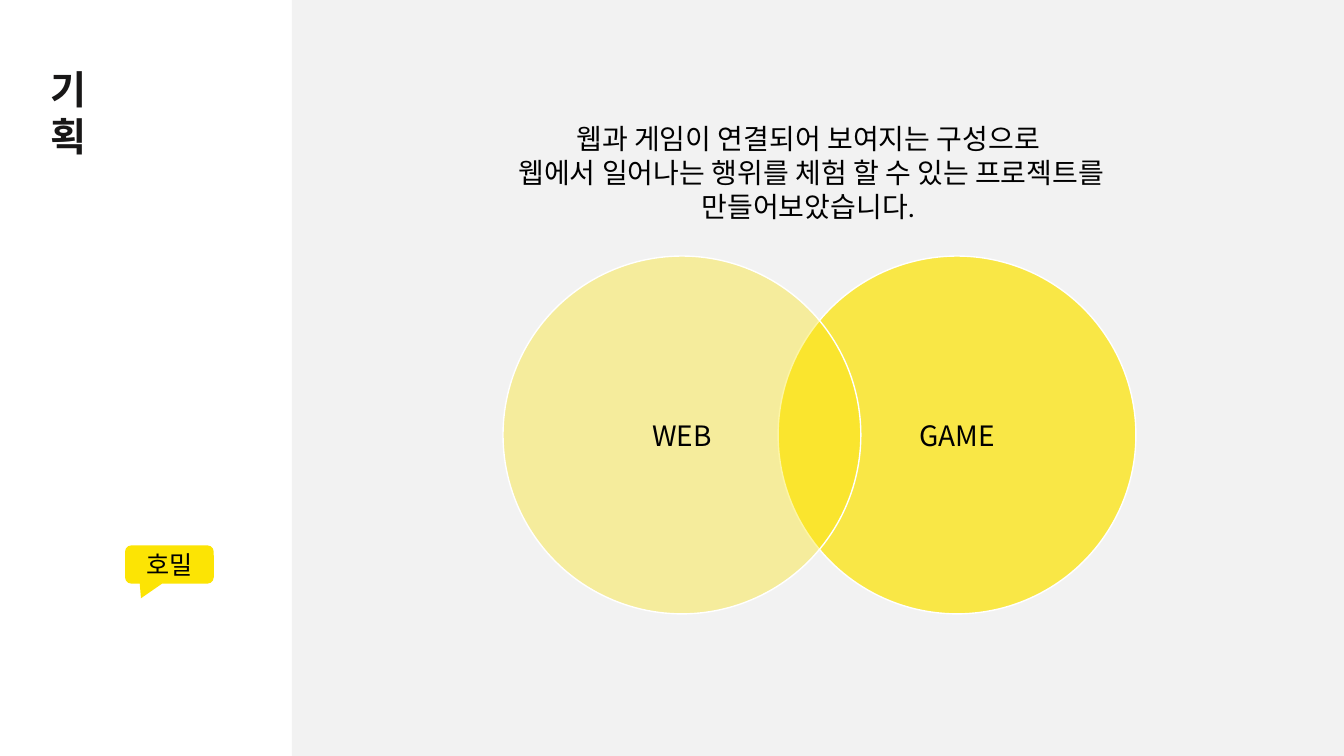
import pptx
import pptx.util
import pptx.dml.color
import pptx.enum.shapes
import pptx.enum.text
import pptx.oxml.ns
import lxml.etree

Pt = pptx.util.Pt
SHAPE = pptx.enum.shapes.MSO_SHAPE
ALIGN = pptx.enum.text.PP_ALIGN
ANCHOR = pptx.enum.text.MSO_ANCHOR
YELLOW = "FCE404"
KOREAN = "Noto Sans CJK KR"


def color(fmt, value):
    fmt.rgb = pptx.dml.color.RGBColor.from_string(value)


def write(s, text, size=20, font=KOREAN, ink="000000", bold=False,
          align=ALIGN.CENTER, anchor=ANCHOR.MIDDLE, wrap=True):
    tf = s.text_frame
    tf.word_wrap = wrap
    tf.vertical_anchor = anchor
    tf.text = text
    for p in tf.paragraphs:
        p.alignment = align
        for r in p.runs:
            r.font.size = Pt(size)
            r.font.name = font
            r.font.bold = bold
            color(r.font.color, ink)


prs = pptx.Presentation()
prs.slide_width, prs.slide_height = Pt(960), Pt(540)
slide = prs.slides.add_slide(prs.slide_layouts[6])
shapes = slide.shapes

# Grey content panel
panel = shapes.add_shape(SHAPE.RECTANGLE, Pt(208.5), 0, Pt(751.5), Pt(540))
panel.shadow.inherit = False
panel.fill.solid()
color(panel.fill.fore_color, "F2F2F2")
panel.line.fill.background()

# Title, one syllable per line
title = shapes.add_textbox(Pt(28.8), Pt(43.2), Pt(68.4), Pt(41))
write(title, "기\v획", size=28, font="Calibri", ink="181717", bold=True,
      align=ALIGN.LEFT, anchor=ANCHOR.TOP, wrap=False)

# Overlapping translucent circles
for label, left, opacity in (("GAME", 555.8, 72), ("WEB", 359.3, 36)):
    circle = shapes.add_shape(SHAPE.OVAL, Pt(left), Pt(182.9), Pt(255.6), Pt(255.6))
    circle.shadow.inherit = False
    circle.fill.solid()
    color(circle.fill.fore_color, YELLOW)
    fill = circle.fill._xPr.find(pptx.oxml.ns.qn("a:solidFill"))
    lxml.etree.SubElement(fill[0], pptx.oxml.ns.qn("a:alpha"), val=str(opacity * 1000))
    color(circle.line.color, "FFFFFF")
    circle.line.width = Pt(1)
    write(circle, label)

# Project summary
summary = shapes.add_textbox(Pt(306.7), Pt(83.5), Pt(545.8), Pt(80))
write(summary, "웹과 게임이 연결되어 보여지는 구성으로 \n"
      "웹에서 일어나는 행위를 체험 할 수 있는 프로젝트를\v만들어보았습니다. ",
      font="Calibri", anchor=ANCHOR.TOP, wrap=False)

# Speech bubble
bubble = shapes.add_shape(SHAPE.ROUNDED_RECTANGULAR_CALLOUT,
                          Pt(89.3), Pt(389.5), Pt(63.4), Pt(27.4))
for i, value in enumerate((-0.32, 0.88, 0.17)):
    bubble.adjustments[i] = value
bubble.shadow.inherit = False
bubble.fill.solid()
color(bubble.fill.fore_color, YELLOW)
bubble.line.fill.background()
write(bubble, "호밀", size=18)

prs.save("out.pptx")
